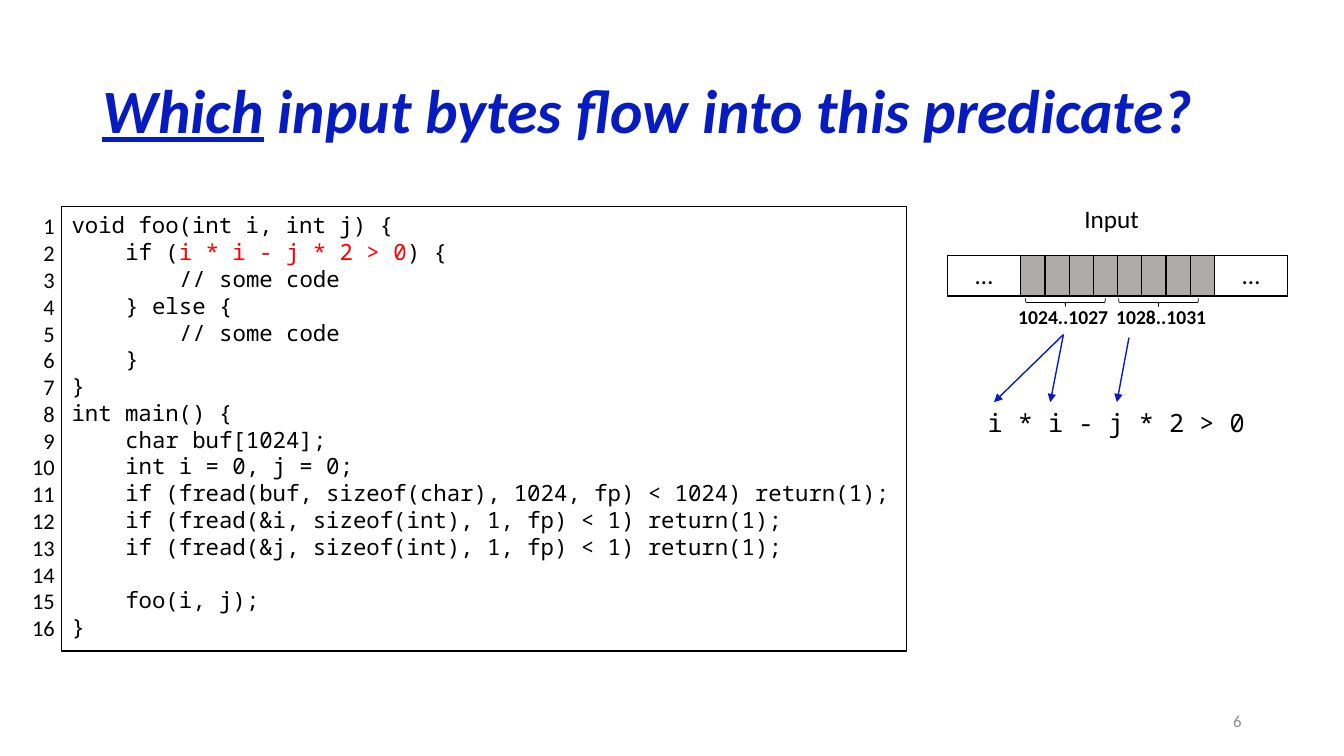
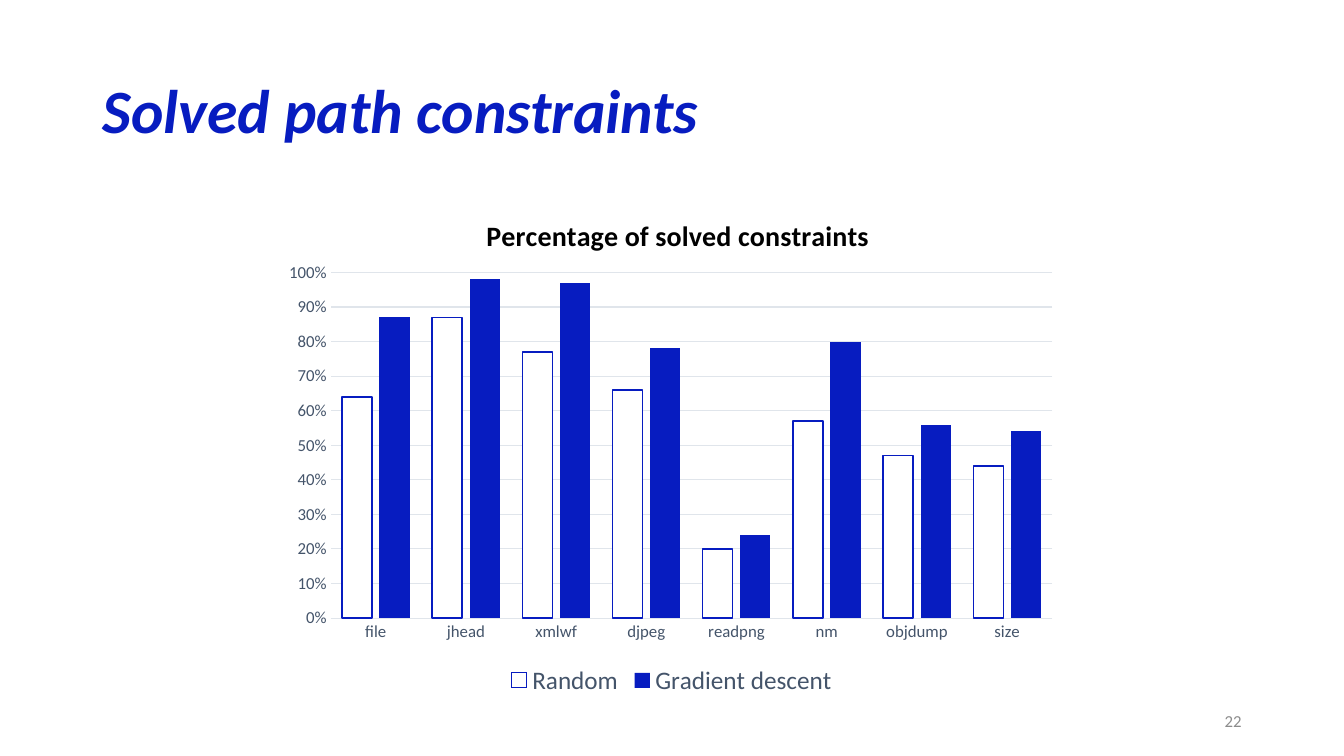
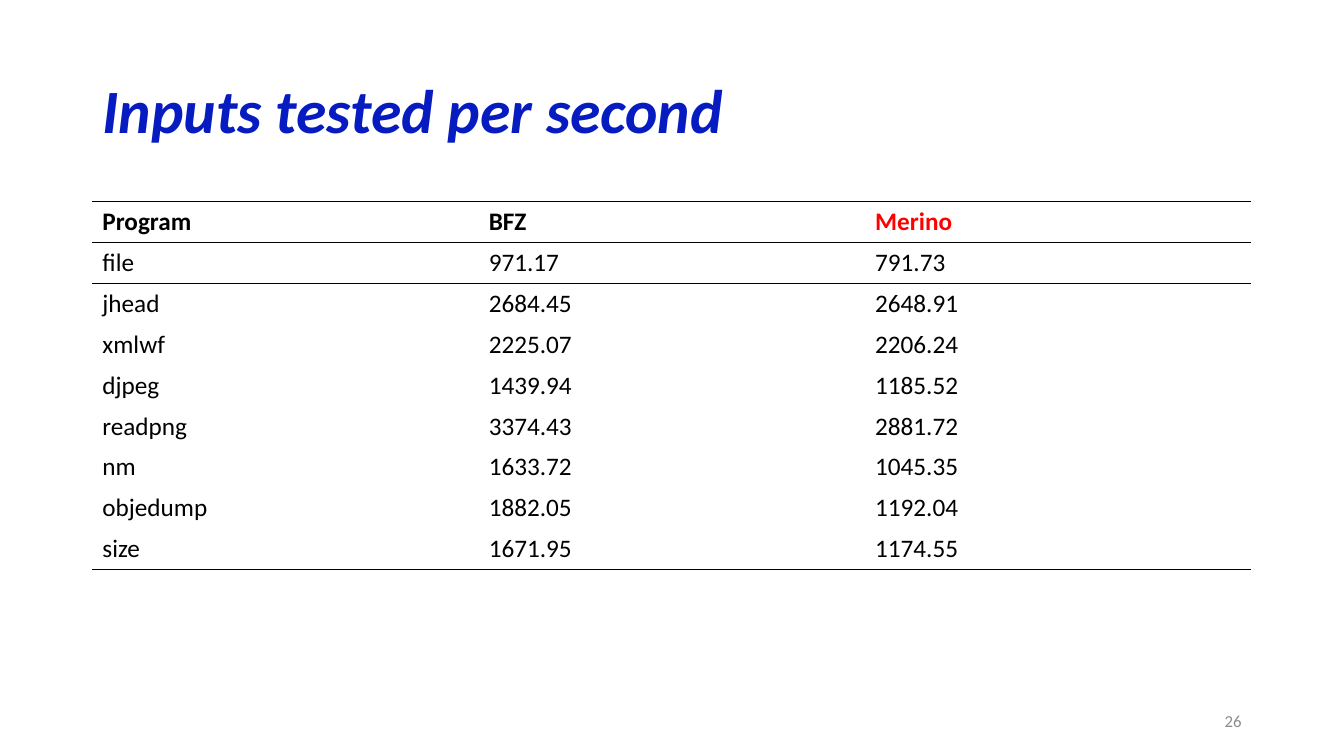
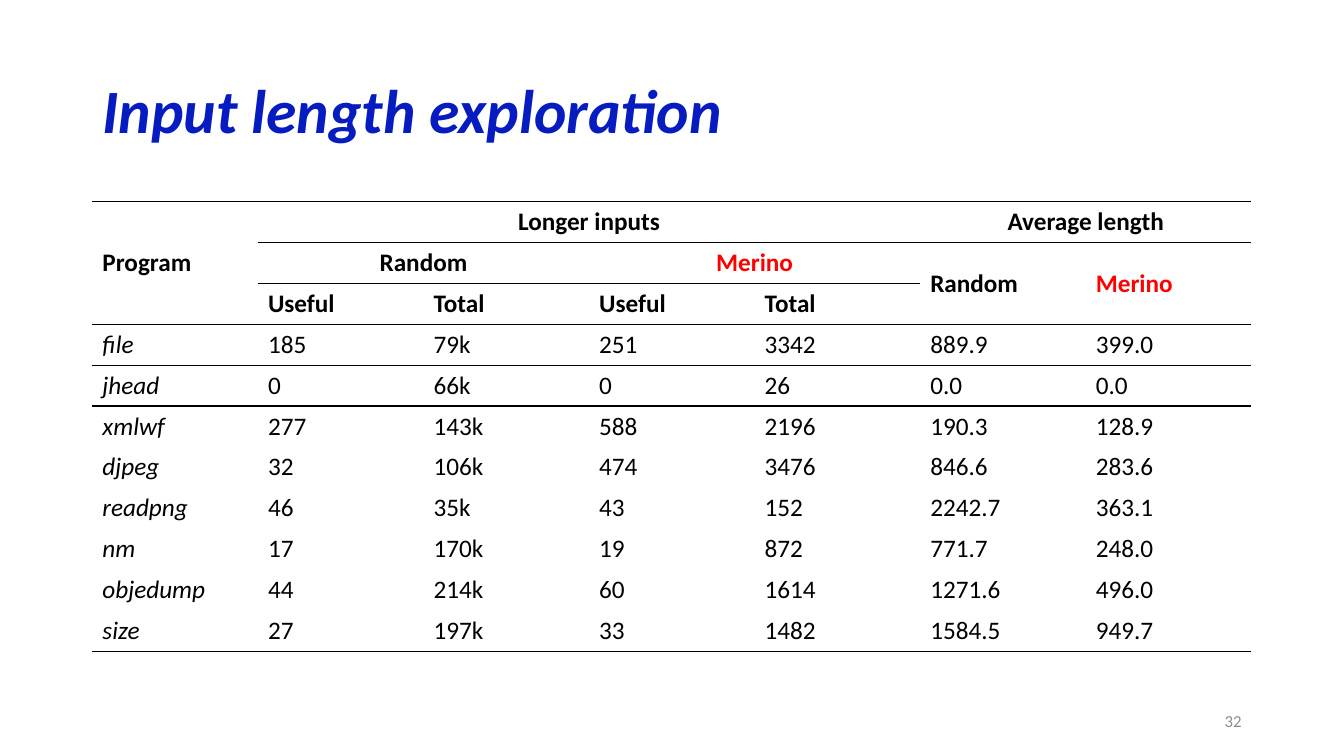
import pptx
import pptx.chart.data
import pptx.dml.color
import pptx.enum.chart
import pptx.enum.shapes
import pptx.enum.text
import pptx.oxml
import pptx.oxml.ns
import pptx.util

Pt = pptx.util.Pt
ALIGN = pptx.enum.text.PP_ALIGN
ANCHOR = pptx.enum.text.MSO_ANCHOR
SHAPES = pptx.enum.shapes.MSO_SHAPE

BLUE, RED, BLACK, WHITE = "071CC0", "FF0000", "000000", "FFFFFF"
GRAY, SLATE, GRID, BYTE_FILL = "8C8C8C", "44546A", "E0E5EB", "AFABAB"
BODY, MONO = "Calibri", "Noto Sans Mono"
PLAIN_TABLE = "{2D5ABB26-0587-4C30-8999-92F81FD0307C}"
TOOL = "Merino"
TABLE_LEFT, TABLE_TOP, TABLE_WIDTH, ROW_HEIGHT = 66, 144, 828, 29.2

CODE_PITCH, CODE_INDENT = 19.15, 38.4
PREDICATE = "i * i - j * 2 > 0"
CODE = [
    (0, "void foo(int i, int j) {"),
    (1, [("if (", {}), (PREDICATE, {"color": RED}), (") {", {})]),
    (2, "// some code"),
    (1, "} else {"),
    (2, "// some code"),
    (1, "}"),
    (0, "}"),
    (0, "int main() {"),
    (1, "char buf[1024];"),
    (1, "int i = 0, j = 0;"),
    (1, "if (fread(buf, sizeof(char), 1024, fp) < 1024) return(1);"),
    (1, "if (fread(&i, sizeof(int), 1, fp) < 1) return(1);"),
    (1, "if (fread(&j, sizeof(int), 1, fp) < 1) return(1);"),
    (1, "foo(i, j);"),
    (0, "}"),
]
LINE_AFTER_GAP = 13
INPUT_BYTES = ["…"] + [""] * 8 + ["…"]
BYTE_RANGES = ["1024..1027", "1028..1031"]
FLOW_ARROWS = [
    (759.6, 239, 710, 287.3),
    (759.6, 239, 750.2, 287.3),
    (806.4, 241.2, 797.8, 287.3),
]

PROGRAMS = ["file", "jhead", "xmlwf", "djpeg", "readpng", "nm", "objdump", "size"]
SOLVED = {
    "Random": [0.64, 0.87, 0.77, 0.66, 0.2, 0.57, 0.47, 0.44],
    "Gradient descent": [0.87, 0.98, 0.97, 0.78, 0.24, 0.8, 0.56, 0.54],
}

SPEED_ROWS = [
    ["Program", "BFZ", TOOL],
    ["file", "971.17", "791.73"],
    ["jhead", "2684.45", "2648.91"],
    ["xmlwf", "2225.07", "2206.24"],
    ["djpeg", "1439.94", "1185.52"],
    ["readpng", "3374.43", "2881.72"],
    ["nm", "1633.72", "1045.35"],
    ["objedump", "1882.05", "1192.04"],
    ["size", "1671.95", "1174.55"],
]
SPEED_RULES = [(0, 0, 2), (1, 0, 2), (9, 0, 2)]

LENGTH_ROWS = [
    ["Program", "Longer inputs", "", "", "", "Average length", ""],
    ["", "Random", "", TOOL, "", "Random", TOOL],
    ["", "Useful", "Total", "Useful", "Total", "", ""],
    ["file", "185", "79k", "251", "3342", "889.9", "399.0"],
    ["jhead", "0", "66k", "0", "26", "0.0", "0.0"],
    ["xmlwf", "277", "143k", "588", "2196", "190.3", "128.9"],
    ["djpeg", "32", "106k", "474", "3476", "846.6", "283.6"],
    ["readpng", "46", "35k", "43", "152", "2242.7", "363.1"],
    ["nm", "17", "170k", "19", "872", "771.7", "248.0"],
    ["objedump", "44", "214k", "60", "1614", "1271.6", "496.0"],
    ["size", "27", "197k", "33", "1482", "1584.5", "949.7"],
]
LENGTH_RULES = [(0, 0, 6), (1, 1, 6), (2, 1, 4), (3, 0, 6), (4, 0, 6), (11, 0, 6)]
LENGTH_MERGES = [
    (0, 0, 2, 0), (0, 1, 0, 4), (0, 5, 0, 6), (1, 1, 1, 2),
    (1, 3, 1, 4), (1, 5, 2, 5), (1, 6, 2, 6),
]


def rgb(color):
    return pptx.dml.color.RGBColor.from_string(color)


def element(xml):
    namespaces = pptx.oxml.ns.nsdecls("a", "c")
    head, tail = xml.split(">", 1)
    if head.endswith("/"):
        return pptx.oxml.parse_xml(f"{head[:-1]} {namespaces}/>{tail}")
    return pptx.oxml.parse_xml(f"{head} {namespaces}>{tail}")


def style_font(font, size, color=BLACK, name=BODY, bold=False, italic=False, underline=False):
    font.size, font.name = Pt(size), name
    font.bold, font.italic, font.underline = bold, italic, underline
    font.color.rgb = rgb(color)


def write(frame, paragraphs, align=ALIGN.LEFT, anchor=ANCHOR.TOP, spacing=None, **font):
    frame.word_wrap = True
    frame.vertical_anchor = anchor
    for index, content in enumerate(paragraphs):
        paragraph = frame.add_paragraph() if index else frame.paragraphs[0]
        paragraph.alignment = align
        if spacing:
            paragraph.line_spacing = spacing
        runs = [(content, {})] if isinstance(content, str) else content
        for text, changes in runs:
            run = paragraph.add_run()
            run.text = text
            style_font(run.font, **{**font, **changes})


def add_text(slide, box, paragraphs, margin=7.2, **style):
    frame = slide.shapes.add_textbox(*map(Pt, box)).text_frame
    frame.margin_left = frame.margin_right = Pt(margin)
    write(frame, paragraphs, **style)


def add_slide(presentation, title, number):
    slide = presentation.slides.add_slide(presentation.slide_layouts[5])
    shape = slide.shapes.title
    shape.left, shape.top, shape.width, shape.height = map(Pt, (66, 29, 828, 104))
    write(shape.text_frame, [title], anchor=ANCHOR.MIDDLE, spacing=0.9,
          size=44, color=BLUE, bold=True, italic=True)
    add_text(slide, (678, 500.5, 216, 28.8), [number], align=ALIGN.RIGHT,
             anchor=ANCHOR.MIDDLE, size=12, color=GRAY)
    return slide


def add_shape(slide, kind, box, fill=None, width=1):
    shape = slide.shapes.add_shape(kind, *map(Pt, box))
    shape.shadow.inherit = False
    shape.line.color.rgb, shape.line.width = rgb(BLACK), Pt(width)
    if fill:
        shape.fill.solid()
        shape.fill.fore_color.rgb = rgb(fill)
    else:
        shape.fill.background()
    return shape


def add_arrow(slide, ends):
    arrow = slide.shapes.add_connector(pptx.enum.shapes.MSO_CONNECTOR.STRAIGHT, *map(Pt, ends))
    arrow.line.color.rgb, arrow.line.width = rgb(BLUE), Pt(1)
    arrow.line._get_or_add_ln().append(element('<a:tailEnd type="triangle"/>'))
    arrow._element.spPr.append(element("<a:effectLst/>"))


def set_borders(cell, sides):
    properties = cell._tc.get_or_add_tcPr()
    for index, side in enumerate(sides):
        properties.insert(index, element(
            f'<a:ln{side} w="12700"><a:solidFill><a:srgbClr val="{BLACK}"/></a:solidFill></a:ln{side}>'))


def add_table(slide, rows, left, top, widths):
    box = (left, top, sum(widths), ROW_HEIGHT * len(rows))
    table = slide.shapes.add_table(len(rows), len(widths), *map(Pt, box)).table
    table.first_row = table.horz_banding = False
    table._tbl.tblPr.find(pptx.oxml.ns.qn("a:tableStyleId")).text = PLAIN_TABLE
    for column, width in zip(table.columns, widths):
        column.width = Pt(width)
    for row in table.rows:
        row.height = Pt(ROW_HEIGHT)
    for cell in table.iter_cells():
        cell.fill.background()
    return table


def add_ruled_table(slide, rows, rules, header_rows=1, merges=(), italic_names=False):
    count = len(rows[0])
    table = add_table(slide, rows, TABLE_LEFT, TABLE_TOP, [TABLE_WIDTH / count] * count)
    for first_row, first_column, last_row, last_column in merges:
        table.cell(first_row, first_column).merge(table.cell(last_row, last_column))
    for row, texts in enumerate(rows):
        for column, text in enumerate(texts):
            cell = table.cell(row, column)
            spans_columns = cell.is_merge_origin and cell.span_width > 1
            spans_rows = cell.is_merge_origin and cell.span_height > 1
            header = row < header_rows
            if text:
                write(cell.text_frame, [text], size=18, bold=header,
                      color=RED if text == TOOL else BLACK,
                      italic=italic_names and not header and column == 0,
                      align=ALIGN.CENTER if spans_columns else ALIGN.LEFT)
                cell.vertical_anchor = ANCHOR.MIDDLE if spans_rows else ANCHOR.TOP
            edges = [edge for edge, first, last in rules if first <= column <= last]
            set_borders(cell, [side for side, edge in (("T", row), ("B", row + 1)) if edge in edges])


def add_code(slide):
    frame = add_shape(slide, SHAPES.RECTANGLE, (44, 147.6, 603.4, 317.5), WHITE).text_frame
    write(frame, [content for _, content in CODE], size=16, name=MONO, spacing=Pt(CODE_PITCH))
    for paragraph, (level, _) in zip(frame.paragraphs, CODE):
        properties = paragraph._p.get_or_add_pPr()
        properties.set("marL", str(int(Pt(level * CODE_INDENT))))
        properties.set("indent", "0")
    frame.paragraphs[LINE_AFTER_GAP].space_before = Pt(CODE_PITCH)
    add_text(slide, (10, 148.3, 36.2, 317.5), [str(number) for number in range(1, 17)],
             align=ALIGN.RIGHT, spacing=Pt(CODE_PITCH), size=16)


def add_input_flow(slide):
    add_text(slide, (767.5, 141.8, 60, 29), ["Input"], size=18)
    table = add_table(slide, [INPUT_BYTES], 676.8, 182.2, [52.4] + [17.3] * 8 + [52.4])
    for cell, text in zip(table.iter_cells(), INPUT_BYTES):
        if text:
            write(cell.text_frame, [text], align=ALIGN.CENTER, size=18)
        else:
            cell.fill.solid()
            cell.fill.fore_color.rgb = rgb(BYTE_FILL)
        set_borders(cell, "LRTB")
    for index, label in enumerate(BYTE_RANGES):
        brace = add_shape(slide, SHAPES.RIGHT_BRACE,
                          (758.1 + 66.5 * index, 187.5, 5.8, 57), width=0.5)
        brace.rotation = 90
        add_text(slide, (724.5 + 70 * index, 214.5, 70, 24.2), [label], margin=0,
                 align=ALIGN.CENTER, size=14, bold=True)
    add_text(slide, (698.4, 287.3, 210, 29), [PREDICATE], size=18, name=MONO)
    for ends in FLOW_ARROWS:
        add_arrow(slide, ends)


def set_layout(parent, position, inner=False, **values):
    tag = pptx.oxml.ns.qn("c:layout")
    for old in parent.findall(tag):
        parent.remove(old)
    parts = '<c:layoutTarget val="inner"/>' if inner else ""
    parts += '<c:xMode val="edge"/><c:yMode val="edge"/>'
    parts += "".join(f'<c:{key} val="{value}"/>' for key, value in values.items())
    parent.insert(position, element(f"<c:layout><c:manualLayout>{parts}</c:manualLayout></c:layout>"))


def add_solved_chart(slide):
    data = pptx.chart.data.CategoryChartData(number_format="0%")
    data.categories = PROGRAMS
    for name, values in SOLVED.items():
        data.add_series(name, values)
    chart = slide.shapes.add_chart(pptx.enum.chart.XL_CHART_TYPE.COLUMN_CLUSTERED,
                                   *map(Pt, (196.5, 132, 566.5, 368.5)), data).chart
    style_font(chart.font, 10)
    write(chart.chart_title.text_frame, ["Percentage of solved constraints"],
          align=ALIGN.CENTER, size=20, bold=True)
    set_layout(chart.chart_title._element, 1, x=0.26, y=0.05)
    set_layout(chart._chartSpace.chart.plotArea, 0, inner=True, x=0.07, y=0.17, w=0.91, h=0.67)
    chart.has_legend = True
    chart.legend.position = pptx.enum.chart.XL_LEGEND_POSITION.BOTTOM
    chart.legend.include_in_layout = False
    style_font(chart.legend.font, 18, SLATE)

    values, categories = chart.value_axis, chart.category_axis
    for axis in (values, categories):
        axis.major_tick_mark = axis.minor_tick_mark = pptx.enum.chart.XL_TICK_MARK.NONE
        style_font(axis.tick_labels.font, 12, SLATE)
    values.minimum_scale, values.maximum_scale, values.major_unit = 0, 1, 0.1
    values.tick_labels.number_format = "0%"
    values.tick_labels.number_format_is_linked = False
    values.format.line.fill.background()
    values.has_major_gridlines = True
    for line in (values.major_gridlines.format.line, categories.format.line):
        line.color.rgb, line.width = rgb(GRID), Pt(0.75)

    plot = chart.plots[0]
    plot.gap_width, plot.overlap, plot.vary_by_categories = 75, -25, False
    for series, color in zip(plot.series, (WHITE, BLUE)):
        series.format.fill.solid()
        series.format.fill.fore_color.rgb = rgb(color)
    outline = plot.series[0].format.line
    outline.color.rgb, outline.width = rgb(BLUE), Pt(1)


def main():
    presentation = pptx.Presentation()
    presentation.slide_width, presentation.slide_height = Pt(960), Pt(540)

    slide = add_slide(presentation, [("Which", {"underline": True}),
                                     (" input bytes flow into this predicate?", {})], "6")
    add_code(slide)
    add_input_flow(slide)

    add_solved_chart(add_slide(presentation, "Solved path constraints", "22"))

    slide = add_slide(presentation, "Inputs tested per second", "26")
    add_ruled_table(slide, SPEED_ROWS, SPEED_RULES)

    slide = add_slide(presentation, "Input length exploration", "32")
    add_ruled_table(slide, LENGTH_ROWS, LENGTH_RULES, header_rows=3,
                    merges=LENGTH_MERGES, italic_names=True)

    presentation.save("out.pptx")


if __name__ == "__main__":
    main()
